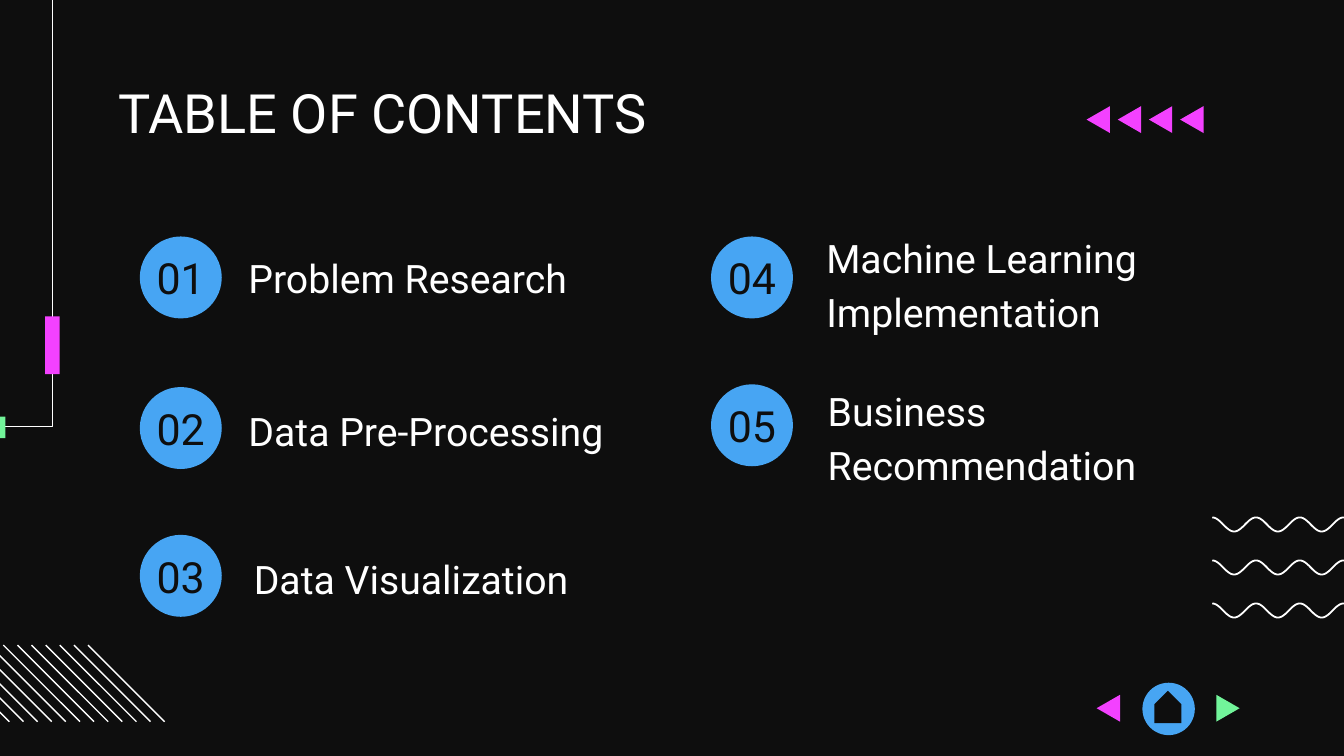
from math import cos, pi

from lxml import etree
from pptx import Presentation, util as u
from pptx.dml.color import RGBColor
from pptx.enum import shapes as sh, text as tx
from pptx.oxml.ns import qn

DARK = RGBColor(0x0E, 0x0E, 0x0E)
WHITE = RGBColor(0xFF, 0xFF, 0xFF)
BLUE = RGBColor(0x47, 0xA5, 0xF3)
PINK = RGBColor(0xF3, 0x41, 0xFF)
GREEN = RGBColor(0x72, 0xF4, 0x9A)

COLS, ROWS = 100, 56.25  # square grid cells
CELL = u.Inches(0.1)
DOT = 6.1
TIP = (1.74, 2.0)  # width and height of a small triangle

LABELS = [
    ("Problem Research", 17.5, 18.4, 31.6, 3.9),
    ("Data Pre-Processing", 17.5, 29.8, 38.1, 8.3),
    ("Data Visualization", 17.9, 40.8, 31.6, 3.9),
    ("Machine Learning Implementation", 60.5, 16.9, 31.6, 7.5),
    ("Business Recommendation", 60.6, 28.3, 31.6, 7.5),
]
DOTS = [(10.4, 17.6), (10.4, 28.8), (10.4, 39.8), (52.9, 17.6), (52.9, 28.6)]


def grid(*cells):
    return [round(c * CELL) for c in cells]


def fill(shape, color):
    shape.shadow.inherit = False
    shape.fill.solid()
    shape.fill.fore_color.rgb = color
    shape.line.fill.background()
    return shape


def solid(slide, kind, box, color):
    return fill(slide.shapes.add_shape(kind, *grid(*box)), color)


def trace(slide, points, closed=False):
    """Outline through grid points."""
    first, *rest = [grid(*p) for p in points]
    form = slide.shapes.build_freeform(*first)
    form.add_line_segments(rest, close=closed)
    return form.convert_to_shape()


def stroke(shape, width=0.75):
    shape.shadow.inherit = False
    shape.fill.background()
    shape.line.color.rgb = WHITE
    shape.line.width = u.Pt(width)


def write(shape, words, size, color, align, pad=0.1, **para):
    frame = shape.text_frame
    look = dict(word_wrap=True, auto_size=tx.MSO_AUTO_SIZE.NONE,
                margin_left=u.Inches(pad), margin_right=u.Inches(pad),
                margin_top=0, margin_bottom=u.Inches(pad))
    for key, val in look.items():
        setattr(frame, key, val)
    frame.text = words
    line = frame.paragraphs[0]
    for key, val in dict(alignment=align, **para).items():
        setattr(line, key, val)
    font = line.runs[0].font
    for key, val in dict(name="Roboto", size=u.Pt(size), bold=False).items():
        setattr(font, key, val)
    font.color.rgb = color


def tip(slide, x, y, color, left=True):
    """Small triangle that points left or right."""
    wide, high = TIP
    base, apex = (x + wide, x) if left else (x, x + wide)
    points = [(base, y), (apex, y + high / 2), (base, y + high)]
    fill(trace(slide, points, True), color)


def waves(slide, x, y, wide, high, count=3, step=3.2, bends=7):
    steps = bends * 12
    for row in range(count):
        mid = y + row * step + high / 2
        points = [(x + wide * i / steps,
                   mid - high / 2 * cos(pi * bends * i / steps))
                  for i in range(steps + 1)]
        stroke(trace(slide, points), 0.95)


def hatch(slide, x, y, side, count=12, step=1.05):
    for i in range(count):
        ends = grid(x + i * step, y, x + i * step + side, y + side)
        line = slide.shapes.add_connector(sh.MSO_CONNECTOR.STRAIGHT, *ends)
        line.line.color.rgb = WHITE
        line.line.width = u.Pt(0.75)
        etree.SubElement(line._element.spPr, qn("a:effectLst"))


def frame(slide, x, y, wide, high):
    """Corner line at the left edge with its two blocks."""
    right, low = x + wide, y + high
    stroke(trace(slide, [(x, low), (right, low), (right, y)]))
    box = sh.MSO_SHAPE.RECTANGLE
    solid(slide, box, (right - 5.1, low - 0.75, 1.6, 1.6), GREEN)
    solid(slide, box, (right - 0.55, low - 8.2, 1.1, 4.3), PINK)


def heading(slide, x, y, wide, high):
    title = slide.shapes.title
    names = ("left", "top", "width", "height")
    for key, val in zip(names, grid(x, y, wide, high)):
        setattr(title, key, val)
    title.text_frame.vertical_anchor = tx.MSO_ANCHOR.TOP
    write(title, "TABLE OF CONTENTS", 29, WHITE, tx.PP_ALIGN.LEFT)


def agenda(slide):
    for num, (dot, label) in enumerate(zip(DOTS, LABELS), 1):
        disc = solid(slide, sh.MSO_SHAPE.OVAL, (*dot, DOT, DOT), BLUE)
        disc.text_frame.vertical_anchor = tx.MSO_ANCHOR.MIDDLE
        write(disc, f"{num:02}", 23, DARK, tx.PP_ALIGN.CENTER, 0)
        words, *box = label
        note = slide.shapes.add_textbox(*grid(*box))
        write(note, words, 21, WHITE, tx.PP_ALIGN.LEFT,
              line_spacing=1.15, space_after=u.Pt(12))


def arrows(slide, x, y, count=4, step=2.32):
    for i in range(count):
        tip(slide, x + i * step, y, PINK)


def controls(slide, x, y):
    """Back, home and next buttons."""
    tip(slide, x, y + 0.9, PINK)
    solid(slide, sh.MSO_SHAPE.OVAL, (x + 3.4, y, 3.9, 3.9), BLUE)
    home = solid(slide, sh.MSO_SHAPE.PENTAGON, (x + 4.1, y + 0.8, 2.4, 2), DARK)
    home.rotation = 270
    tip(slide, x + 8.9, y + 0.9, GREEN, left=False)


def main():
    deck = Presentation()
    deck.slide_width, deck.slide_height = grid(COLS, ROWS)
    slide = deck.slides.add_slide(deck.slide_layouts[5])
    back = slide.background.fill
    back.solid()
    back.fore_color.rgb = DARK
    waves(slide, 90.2, 38.5, 11.4, 1.05)
    hatch(slide, -5, 48, 5.7)
    frame(slide, -39.3, -2.2, 43.2, 33.95)
    heading(slide, 7.8, 5.9, 84.4, 4.6)
    agenda(slide)
    arrows(slide, 80.85, 7.9)
    controls(slide, 81.6, 50.8)
    deck.save("out.pptx")


if __name__ == "__main__":
    main()
